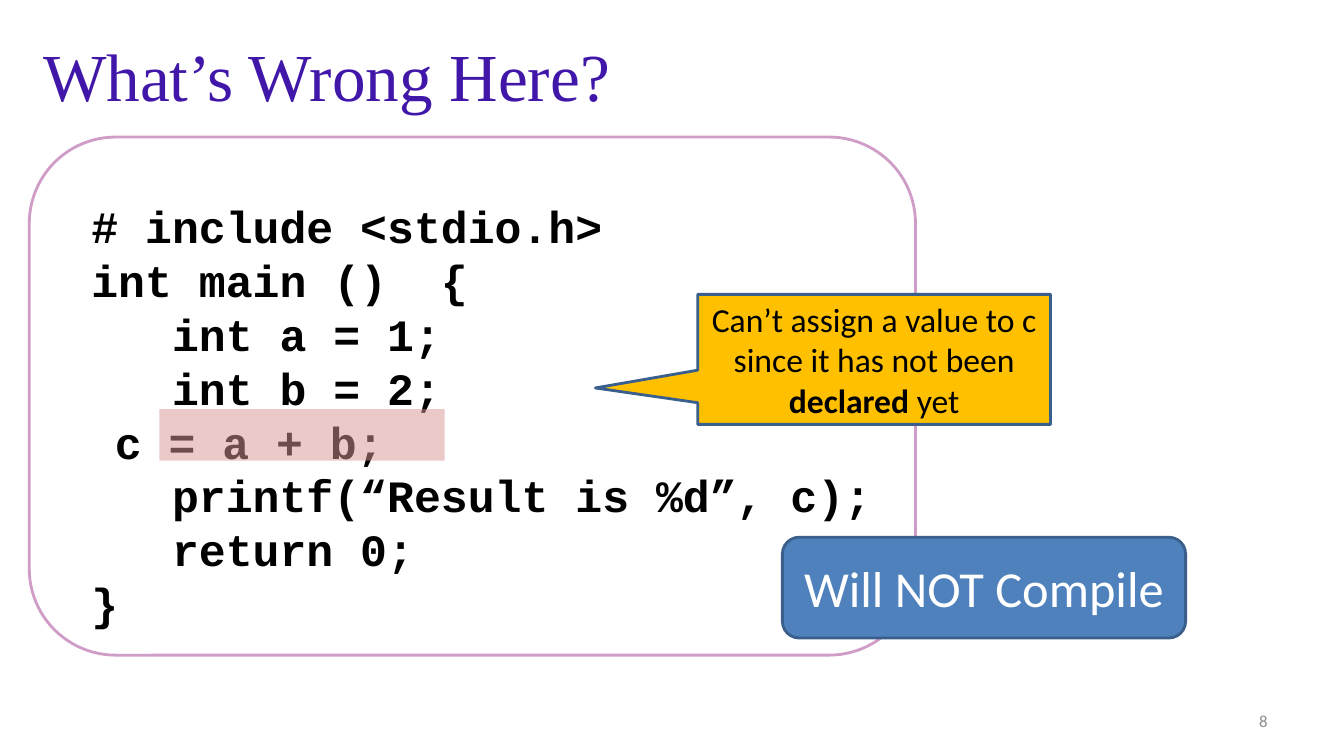
from lxml import etree
from pptx import Presentation
from pptx import util as u
from pptx.dml.color import RGBColor
from pptx.enum import shapes, text
from pptx.oxml import ns

PURPLE = RGBColor(0x41, 0x17, 0xA9)
MAUVE = RGBColor(0xCF, 0x9D, 0xC7)
AMBER = RGBColor(0xFF, 0xC0, 0x00)
ROSE = RGBColor(0xD9, 0x96, 0x94)
BLUE = RGBColor(0x4F, 0x81, 0xBD)
NAVY = RGBColor(0x3A, 0x5F, 0x8C)
GREY = RGBColor(0x8C, 0x8C, 0x8C)
BLACK = RGBColor(0, 0, 0)
WHITE = RGBColor(0xFF, 0xFF, 0xFF)

SHAPE = shapes.MSO_SHAPE
ALIGN = text.PP_ALIGN

TITLE = dict(name="Times New Roman", size=u.Pt(48), color=PURPLE)
CODE = dict(name="Courier New", size=u.Pt(32), color=BLACK, bold=True)
NOTE = dict(name="Calibri", size=u.Pt(24), color=BLACK)
VERDICT = dict(name="Calibri", size=u.Pt(36), color=WHITE)
NUMBER = dict(name="Calibri", size=u.Pt(12), color=GREY)

CODE_LINES = [
    " # include <stdio.h>",
    " int main ()  {",
    "    int a = 1;",
    "    int b = 2;",
    "\tc = a + b;",
    "    printf(“Result is %d”, c);",
    "    return 0;",
    " }",
]


def set_font(font, style):
    for key, value in style.items():
        if key == "color":
            font.color.rgb = value
        else:
            setattr(font, key, value)


def write(box, paragraphs, style, align=ALIGN.LEFT, spacing=None):
    """Each paragraph is a list of (wording, extra style) spans."""
    frame = box.text_frame
    frame.word_wrap = True
    frame.vertical_anchor = text.MSO_ANCHOR.MIDDLE
    for index, spans in enumerate(paragraphs):
        para = frame.add_paragraph() if index else frame.paragraphs[0]
        para.alignment = align
        if spacing:
            para.line_spacing = spacing
        for wording, extra in spans:
            span = para.add_run()
            span.text = wording
            set_font(span.font, {**style, **extra})


def add_label(page, area, wording, style, align=ALIGN.LEFT):
    box = page.shapes.add_textbox(*map(u.Inches, area))
    write(box, [[(wording, {})]], style, align)


def add_panel(page, kind, area, fill, line=None):
    panel = page.shapes.add_shape(kind, *map(u.Inches, area))
    panel.shadow.inherit = False
    panel.fill.solid()
    panel.fill.fore_color.rgb = fill
    if line:
        panel.line.color.rgb = line
        panel.line.width = u.Pt(2)
    else:
        panel.line.fill.background()
    return panel


def set_opacity(panel, percent):
    color = panel.fill._xPr.find(".//" + ns.qn("a:srgbClr"))
    etree.SubElement(color, ns.qn("a:alpha"), val=str(percent * 1000))


def main():
    deck = Presentation()
    deck.slide_width, deck.slide_height = u.Inches(13.33), u.Inches(7.5)
    page = deck.slides.add_slide(deck.slide_layouts[6])

    # Title
    add_label(page, (0.33, 0.33, 12, 0.83), "What’s Wrong Here?", TITLE)

    # Program listing
    listing = add_panel(page, SHAPE.ROUNDED_RECTANGLE,
                        (0.29, 1.36, 8.79, 5.14), WHITE, MAUVE)
    write(listing, [[(line, {})] for line in CODE_LINES], CODE,
          spacing=u.Pt(38.5))
    listing.text_frame.vertical_anchor = text.MSO_ANCHOR.TOP
    listing.text_frame.margin_top = u.Inches(0.36)

    # Explanation of the faulty line
    callout = add_panel(page, SHAPE.RECTANGULAR_CALLOUT,
                        (6.92, 2.92, 3.5, 1.29), AMBER, NAVY)
    callout.adjustments[0] = -0.79
    callout.adjustments[1] = 0.22
    write(callout, [[("Can’t assign a value to c since it has not been ", {}),
                     ("declared", {"bold": True}), (" yet", {})]],
          NOTE, ALIGN.CENTER)

    # Highlight over the faulty line
    highlight = add_panel(page, SHAPE.RECTANGLE, (1.58, 4.06, 2.83, 0.51), ROSE)
    set_opacity(highlight, 51)

    # Verdict
    verdict = add_panel(page, SHAPE.ROUNDED_RECTANGLE,
                        (7.76, 5.33, 4, 1), BLUE, NAVY)
    write(verdict, [[("Will NOT Compile", {})]], VERDICT, ALIGN.CENTER)

    # Page number
    add_label(page, (9.56, 6.95, 3.11, 0.4), "8", NUMBER, ALIGN.RIGHT)

    deck.save("out.pptx")


if __name__ == "__main__":
    main()
